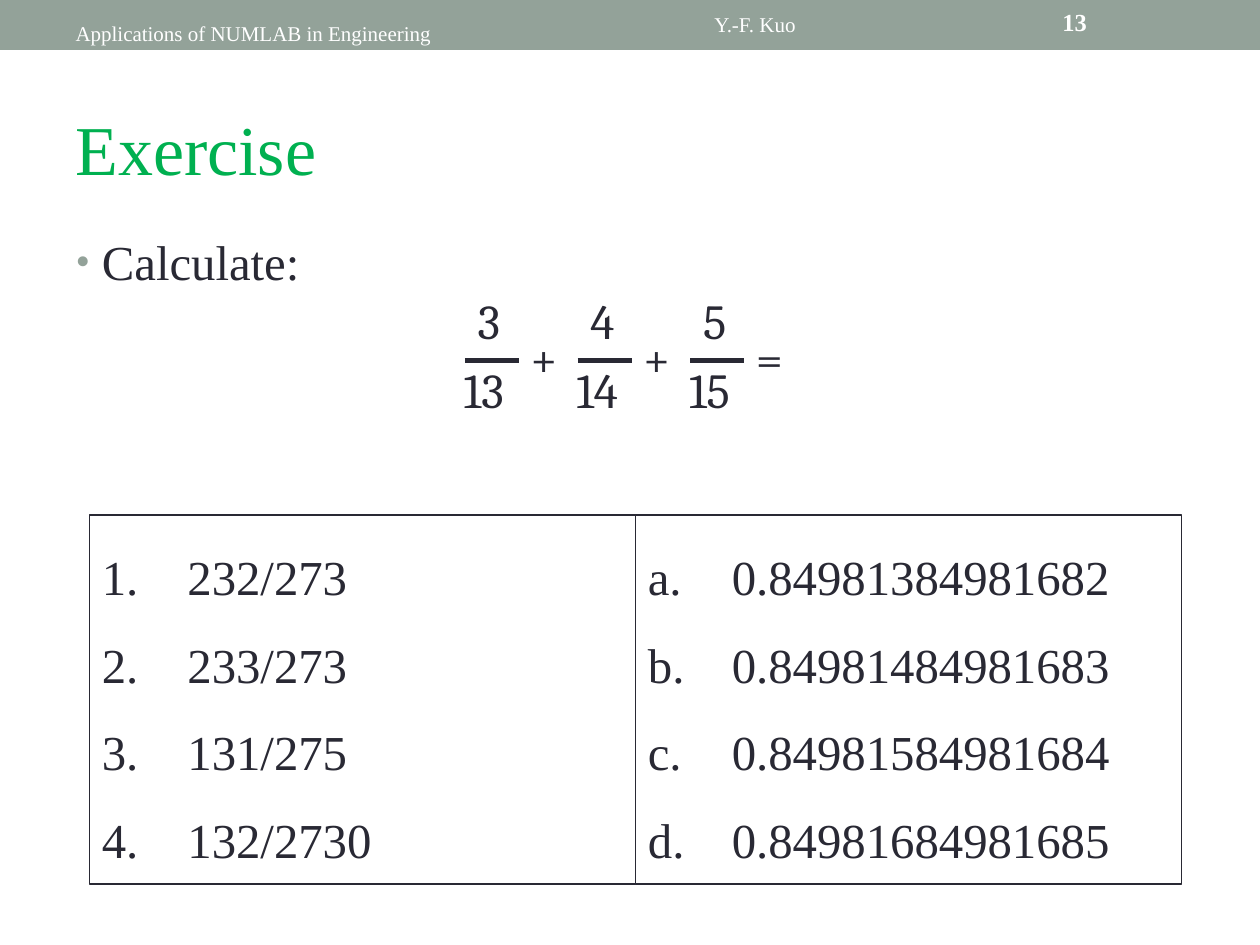
from lxml import etree
from pptx import Presentation
from pptx.dml.color import RGBColor
from pptx.enum import shapes, text
from pptx.oxml.ns import qn
from pptx.util import Pt


class Theme:
    ink = RGBColor.from_string("292934")
    sage = RGBColor.from_string("93A299")
    green = RGBColor.from_string("00B050")
    white = RGBColor.from_string("FFFFFF")
    serif = "Times New Roman"
    maths = "Cambria"
    small, page, body, title = 12, 14, 27.9, 40


def write(frame, words, size, color, pitch, font=Theme.serif):
    frame.margin_left = frame.margin_right = 0
    frame.margin_top = frame.margin_bottom = 0
    frame.word_wrap = False
    frame.vertical_anchor = text.MSO_ANCHOR.TOP
    frame.text = words
    for para in frame.paragraphs:
        para.alignment = text.PP_ALIGN.LEFT
        para.line_spacing = Pt(pitch)
        for run in para.runs:
            run.font.name = font
            run.font.size = Pt(size)
            run.font.color.rgb = color
    return frame


def indent(para, gap, *marks):
    props = para._p.get_or_add_pPr()
    props.set("marL", str(Pt(gap)))
    if marks:
        props.set("indent", str(-Pt(gap)))
    for tag, attrs in marks:
        etree.SubElement(props, qn(tag), attrs)
    return props


deck = Presentation()
deck.slide_width, deck.slide_height = Pt(720), Pt(540)
slide = deck.slides.add_slide(deck.slide_layouts[6])
items = slide.shapes

band = items.add_shape(shapes.MSO_SHAPE.RECTANGLE, 0, 0, Pt(720), Pt(28.5))
band.shadow.inherit = False
band.fill.solid()
band.fill.fore_color.rgb = Theme.sage
band.line.fill.background()

labels = [
    ("Applications of NUMLAB in Engineering", 43.2, 15.1, 208, 11, Theme.small, Theme.white),
    ("Y.-F. Kuo", 408.2, 10, 48, 11, Theme.small, Theme.white),
    ("13", 607, 8.6, 15, 12, Theme.page, Theme.white),
    ("Exercise", 43.2, 66.1, 140, 42, Theme.title, Theme.green),
    ("Calculate:", 43.2, 138.1, 130, 28, Theme.body, Theme.ink),
]
for words, left, top, width, high, size, color in labels:
    box = items.add_textbox(Pt(left), Pt(top), Pt(width), Pt(high))
    para = write(box.text_frame, words, size, color, high).paragraphs[0]
    if words == "13":
        para.runs[0].font.bold = True
    if words == "Calculate:":
        props = indent(para, 15.1, ("a:buClr", {}), ("a:buSzPct", {"val": "85000"}),
                       ("a:buFont", {"typeface": Theme.serif}), ("a:buChar", {"char": "•"}))
        etree.SubElement(props.find(qn("a:buClr")), qn("a:srgbClr"), {"val": str(Theme.sage)})

terms = [("3", "13", "+"), ("4", "14", "+"), ("5", "15", "=")]
for i, (top, base, sign) in enumerate(terms):
    left = 265 + 64.4 * i
    box = items.add_textbox(Pt(left), Pt(172.8), Pt(30.5), Pt(67))
    frame = write(box.text_frame, f"{top}\n{base}", Theme.body, Theme.ink, 27, Theme.maths)
    indent(frame.paragraphs[0], 8)
    frame.paragraphs[1].line_spacing = Pt(39)

    bar = items.add_connector(shapes.MSO_CONNECTOR.STRAIGHT,
                              Pt(left + 0.7), Pt(205.9), Pt(left + 31.6), Pt(205.9))
    bar.line.color.rgb = Theme.ink
    bar.line.width = Pt(3)
    etree.SubElement(bar._element.spPr, qn("a:effectLst"))

    box = items.add_textbox(Pt(left + 38.1), Pt(193), Pt(20), Pt(28))
    write(box.text_frame, sign, Theme.body, Theme.ink, 28, Theme.maths)

lists = [
    ("arabicPeriod", 48.9, ["232/273", "233/273", "131/275", "132/2730"]),
    ("alphaLcPeriod", 48, ["0.84981384981682", "0.84981484981683",
                           "0.84981584981684", "0.84981684981685"]),
]
for i, (style, gap, rows) in enumerate(lists):
    cell = items.add_shape(shapes.MSO_SHAPE.RECTANGLE,
                           Pt(51.2 + 312 * i), Pt(294.3), Pt(312), Pt(211))
    cell.shadow.inherit = False
    cell.fill.background()
    cell.line.color.rgb = Theme.ink
    cell.line.width = Pt(1)
    frame = write(cell.text_frame, "\n".join(rows), Theme.body, Theme.ink, 50)
    frame.margin_left, frame.margin_top = Pt(7), Pt(1.8)
    for para in frame.paragraphs:
        indent(para, gap, ("a:buFont", {"typeface": Theme.serif}),
               ("a:buAutoNum", {"type": style}))

deck.save("out.pptx")
